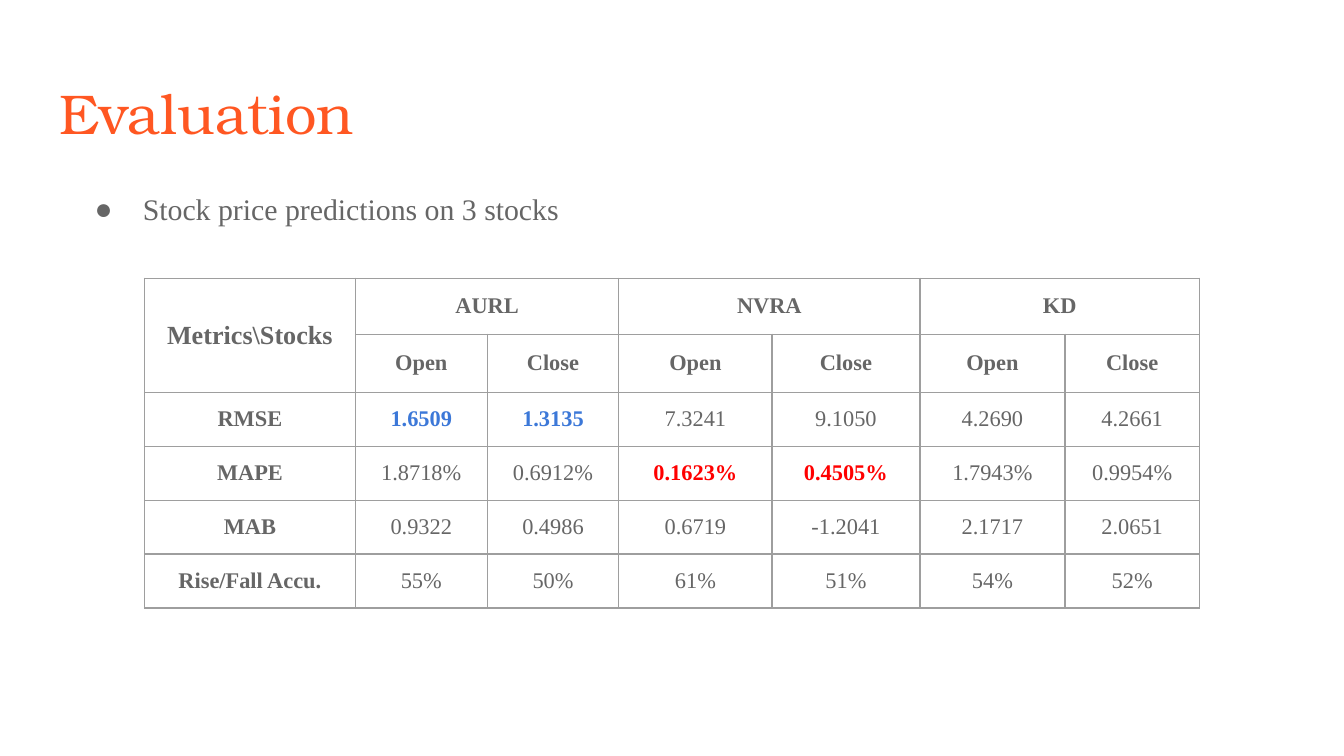
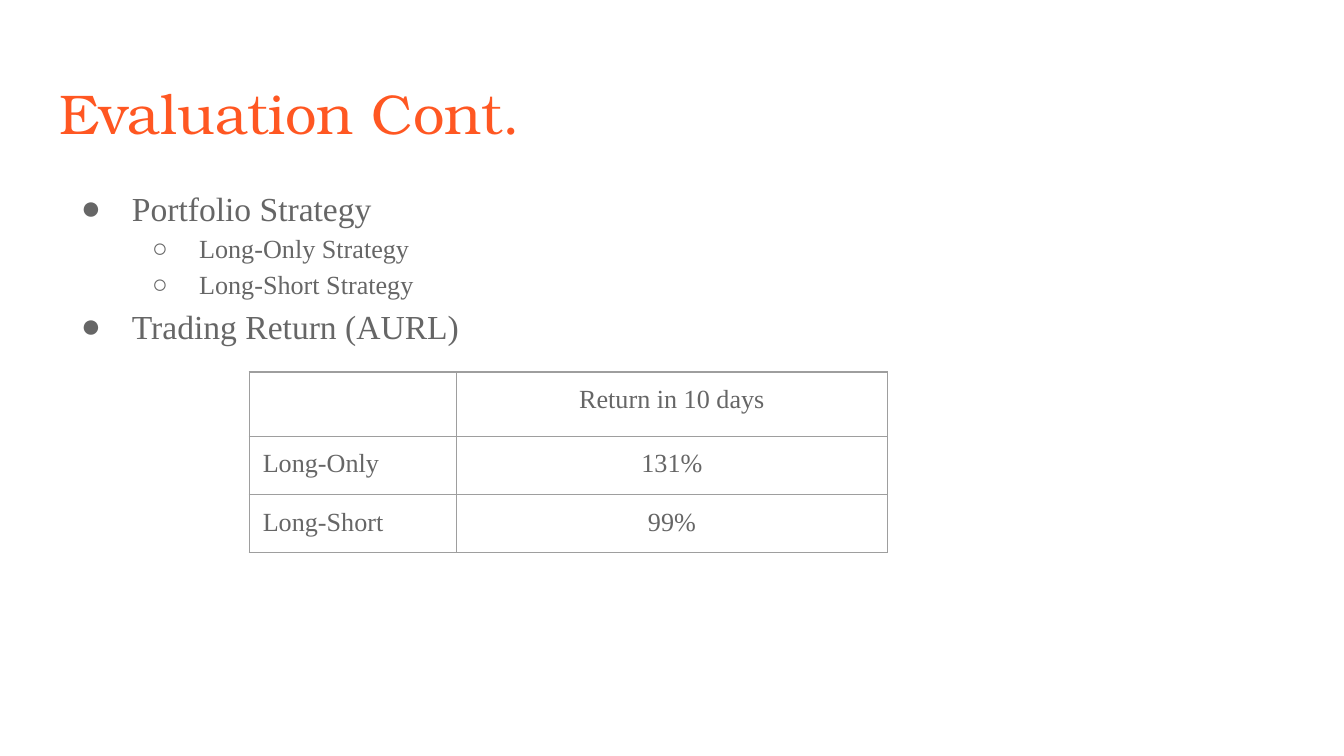
from collections import namedtuple

from lxml.etree import SubElement
from pptx import Presentation
from pptx.dml.color import RGBColor
from pptx.enum.text import MSO_ANCHOR as Anchor, PP_ALIGN as Align
from pptx.oxml.ns import qn
from pptx.util import Inches, Pt

ORANGE = RGBColor(0xFF, 0x57, 0x22)
GRAY = RGBColor(0x66, 0x66, 0x66)
BORDER = RGBColor(0x9E, 0x9E, 0x9E)
BLUE = RGBColor(0x3C, 0x78, 0xD8)
RED = RGBColor(0xFF, 0x00, 0x00)

TITLE_FONT = "TeX Gyre Bonum"
BODY_FONT = "Times New Roman"

# The grid has 100 columns and 100 rows on the slide.
SLIDE_WIDTH, SLIDE_HEIGHT = Pt(720), Pt(405)
INSET = Inches(0.1)
BULLETS = "●○"

Box = namedtuple("Box", "left top width height")
Bullet = namedtuple("Bullet", "text size hanging level", defaults=(0,))

TITLE_BOX = Box(3.41, 8.65, 93.2, 11.2)


def across(columns):
    return round(SLIDE_WIDTH * columns / 100)


def down(rows):
    return round(SLIDE_HEIGHT * rows / 100)


def place(box):
    return across(box.left), down(box.top), across(box.width), down(box.height)


def add_run(paragraph, text, size, color=GRAY, font=BODY_FONT, bold=False):
    run = paragraph.add_run()
    run.text = text
    run.font.name = font
    run.font.size = Pt(size)
    run.font.bold = bold
    run.font.color.rgb = color


def set_insets(target):
    target.margin_left = target.margin_right = INSET
    target.margin_top = target.margin_bottom = INSET


def add_text_frame(slide, box):
    frame = slide.shapes.add_textbox(*place(box)).text_frame
    frame.word_wrap = True
    set_insets(frame)
    return frame


def add_title(slide, text):
    paragraph = add_text_frame(slide, TITLE_BOX).paragraphs[0]
    add_run(paragraph, text, 30, ORANGE, TITLE_FONT)


def set_bullet(paragraph, level, hanging):
    paragraph.level = level
    properties = paragraph._p.get_or_add_pPr()
    properties.set("marL", str(Inches(0.5 * (level + 1))))
    properties.set("indent", str(-Inches(hanging)))
    color = SubElement(properties, qn("a:buClr"))
    SubElement(color, qn("a:srgbClr"), val=str(GRAY))
    SubElement(properties, qn("a:buFont"), typeface=BODY_FONT)
    SubElement(properties, qn("a:buChar"), char=BULLETS[level])


def add_bullets(slide, box, bullets, line_spacing=1.0):
    frame = add_text_frame(slide, box)
    for index, bullet in enumerate(bullets):
        paragraph = frame.add_paragraph() if index else frame.paragraphs[0]
        set_bullet(paragraph, bullet.level, bullet.hanging)
        paragraph.line_spacing = line_spacing
        add_run(paragraph, bullet.text, bullet.size)


def style_cell(cell, anchor):
    """Give a cell thin borders, no fill, even insets and a small empty line."""
    properties = cell._tc.get_or_add_tcPr()
    for side in ("lnL", "lnR", "lnT", "lnB"):
        line = SubElement(properties, qn(f"a:{side}"), w=str(Pt(0.75)))
        fill = SubElement(line, qn("a:solidFill"))
        SubElement(fill, qn("a:srgbClr"), val=str(BORDER))
    cell.fill.background()
    cell.vertical_anchor = anchor
    set_insets(cell)
    SubElement(cell.text_frame.paragraphs[0]._p, qn("a:endParaRPr"), sz="1000")


def add_table(slide, left, top, widths, heights, anchor):
    box = Box(left, top, sum(widths), sum(heights))
    table = slide.shapes.add_table(len(heights), len(widths), *place(box)).table
    table.first_row = table.horz_banding = False
    for column, width in zip(table.columns, widths):
        column.width = across(width)
    for row, height in zip(table.rows, heights):
        row.height = down(height)
    for cell in table.iter_cells():
        style_cell(cell, anchor)
    return table


def write_cell(cell, text, size, align=Align.CENTER, **style):
    paragraph = cell.text_frame.paragraphs[0]
    paragraph.alignment = align
    add_run(paragraph, text, size, **style)


def add_metrics_table(slide, left, top):
    stocks = ["AURL", "NVRA", "KD"]
    metrics = {
        "RMSE": ["1.6509", "1.3135", "7.3241", "9.1050", "4.2690", "4.2661"],
        "MAPE": ["1.8718%", "0.6912%", "0.1623%", "0.4505%", "1.7943%", "0.9954%"],
        "MAB": ["0.9322", "0.4986", "0.6719", "-1.2041", "2.1717", "2.0651"],
        "Rise/Fall Accu.": ["55%", "50%", "61%", "51%", "54%", "52%"],
    }
    highlights = {("RMSE", 1): BLUE, ("RMSE", 2): BLUE,
                  ("MAPE", 3): RED, ("MAPE", 4): RED}
    table = add_table(slide, left, top, [15.7, 9.8, 9.8, 11.4, 11, 10.8, 10],
                      [7.4, 7.4, 7.15, 7.1, 7.1, 6.95], Anchor.MIDDLE)

    table.cell(0, 0).merge(table.cell(1, 0))
    write_cell(table.cell(0, 0), "Metrics\\Stocks", 14, bold=True)
    for index, stock in enumerate(stocks):
        column = 1 + 2 * index
        table.cell(0, column).merge(table.cell(0, column + 1))
        write_cell(table.cell(0, column), stock, 12, bold=True)
        for offset, price in enumerate(["Open", "Close"]):
            write_cell(table.cell(1, column + offset), price, 12, bold=True)

    for row, (metric, values) in enumerate(metrics.items(), start=2):
        write_cell(table.cell(row, 0), metric, 12, bold=True)
        for column, value in enumerate(values, start=1):
            color = highlights.get((metric, column))
            write_cell(table.cell(row, column), value, 12,
                       color=color or GRAY, bold=color is not None)


def add_return_table(slide, left, top):
    results = {"Long-Only": "131%", "Long-Short": "99%"}
    table = add_table(slide, left, top, [15.4, 32.1], [8.5, 7.7, 7.5], Anchor.TOP)
    write_cell(table.cell(0, 1), "Return in 10 days", 14)
    for row, (strategy, result) in enumerate(results.items(), start=1):
        write_cell(table.cell(row, 0), strategy, 14, Align.LEFT)
        write_cell(table.cell(row, 1), result, 14)


def build_evaluation(slide):
    add_title(slide, "Evaluation")
    add_bullets(slide, Box(4.65, 23.5, 43.4, 9.6),
                [Bullet("Stock price predictions on 3 stocks", 16, 0.36)])
    add_metrics_table(slide, 10.75, 36.8)


def build_evaluation_continued(slide):
    add_title(slide, "Evaluation Cont.")
    add_bullets(slide, Box(3.83, 22.25, 93.2, 66.5), [
        Bullet("Portfolio Strategy", 18, 0.38),
        Bullet("Long-Only Strategy", 14, 0.35, 1),
        Bullet("Long-Short Strategy", 14, 0.35, 1),
        Bullet("Trading Return (AURL)", 18, 0.38),
    ], line_spacing=1.15)
    add_return_table(slide, 18.55, 49.2)


def main():
    presentation = Presentation()
    presentation.slide_width = SLIDE_WIDTH
    presentation.slide_height = SLIDE_HEIGHT
    blank_layout = presentation.slide_layouts[6]
    for build in (build_evaluation, build_evaluation_continued):
        build(presentation.slides.add_slide(blank_layout))
    presentation.save("out.pptx")


if __name__ == "__main__":
    main()
